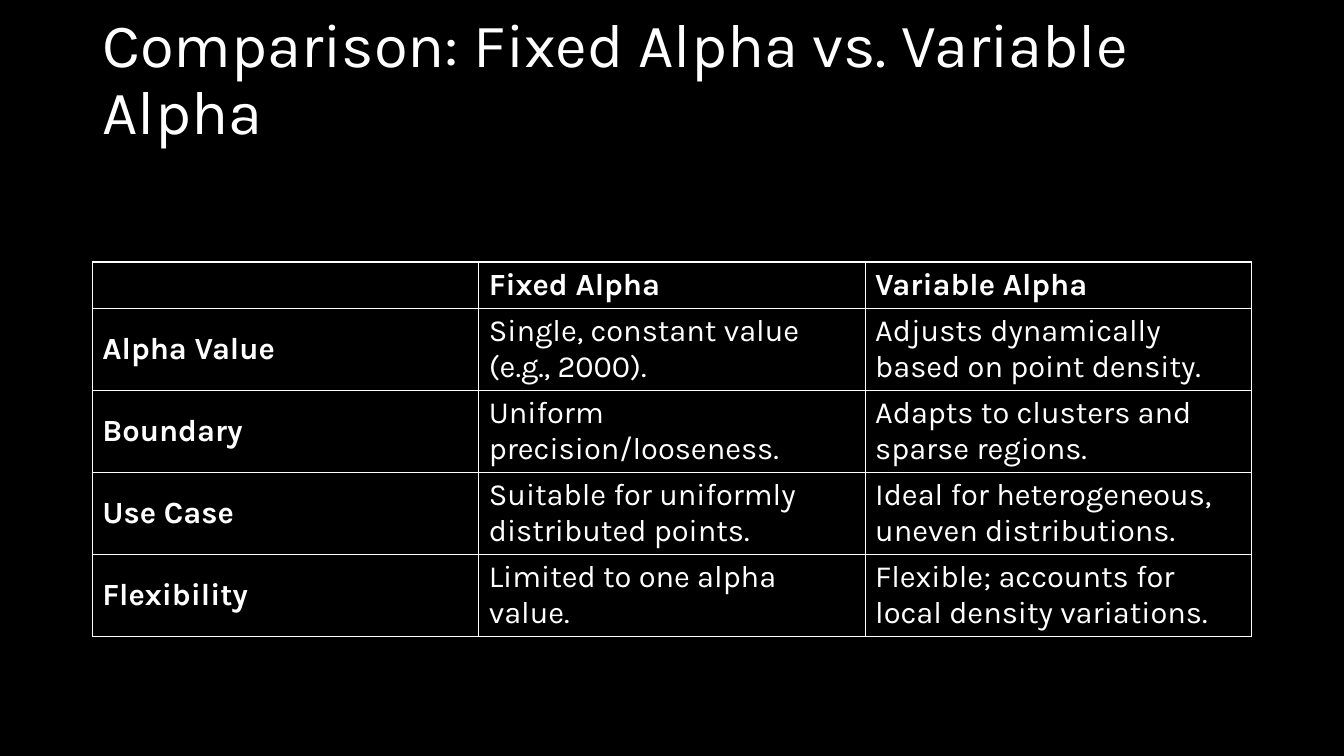
from lxml import etree
from pptx import Presentation
from pptx.dml.color import RGBColor
from pptx.enum.text import MSO_ANCHOR, PP_ALIGN
from pptx.oxml.ns import qn
from pptx.util import Pt

BLACK = RGBColor(0x00, 0x00, 0x00)
WHITE = RGBColor(0xFF, 0xFF, 0xFF)
MIDDLE = MSO_ANCHOR.MIDDLE
LEFT = PP_ALIGN.LEFT

FONT = "Karla"
TITLE_ONLY = 5
MARGIN = Pt(66)
CONTENT_WIDTH = Pt(828)
HEADER_HEIGHT = Pt(32.9)
BODY_HEIGHT = Pt(58.5)
BORDER = Pt(1)

TITLE = "Comparison: Fixed Alpha vs. Variable Alpha"
COMPARISON = [
    ("", "Fixed Alpha", "Variable Alpha"),
    ("Alpha Value", "Single, constant value (e.g., 2000).",
     "Adjusts dynamically based on point density."),
    ("Boundary", "Uniform precision/looseness.",
     "Adapts to clusters and sparse regions."),
    ("Use Case", "Suitable for uniformly distributed points.",
     "Ideal for heterogeneous, uneven distributions."),
    ("Flexibility", "Limited to one alpha value.",
     "Flexible; accounts for local density variations."),
]


def set_format(target, values):
    for name, value in values.items():
        setattr(target, name, value)


def write_text(para, text, size, bold=False):
    para.text = text
    para.alignment = LEFT
    set_format(para.font, {"name": FONT, "size": Pt(size), "bold": bold})
    para.font.color.rgb = WHITE


def add_title(page):
    title = page.shapes.title
    set_format(title, {"left": MARGIN, "top": Pt(28.8),
                       "width": CONTENT_WIDTH, "height": Pt(104.4)})
    frame = title.text_frame
    set_format(frame, {"word_wrap": True, "vertical_anchor": MIDDLE,
                       "margin_bottom": Pt(50)})
    para = frame.paragraphs[0]
    write_text(para, TITLE, 44)
    para.line_spacing = 0.9


def add_borders(cell):
    properties = cell._tc.get_or_add_tcPr()
    for side in ("a:lnL", "a:lnR", "a:lnT", "a:lnB"):
        line = etree.SubElement(properties, qn(side), w=str(BORDER))
        fill = etree.SubElement(line, qn("a:solidFill"))
        etree.SubElement(fill, qn("a:srgbClr"), val=str(WHITE))


def format_cell(cell, text, bold):
    write_text(cell.text_frame.paragraphs[0], text, 22, bold)
    cell.vertical_anchor = MIDDLE
    add_borders(cell)
    cell.fill.background()


def add_comparison_table(page):
    row_count, column_count = len(COMPARISON), len(COMPARISON[0])
    height = HEADER_HEIGHT + BODY_HEIGHT * (row_count - 1)
    table = page.shapes.add_table(row_count, column_count, MARGIN, Pt(187.2),
                                  CONTENT_WIDTH, height).table
    table.horz_banding = False
    for row_index, texts in enumerate(COMPARISON):
        table.rows[row_index].height = BODY_HEIGHT if row_index else HEADER_HEIGHT
        for column_index, text in enumerate(texts):
            is_heading = row_index == 0 or column_index == 0
            format_cell(table.cell(row_index, column_index), text, is_heading)


def main():
    deck = Presentation()
    set_format(deck, {"slide_width": Pt(960), "slide_height": Pt(540)})
    page = deck.slides.add_slide(deck.slide_layouts[TITLE_ONLY])
    page.background.fill.solid()
    page.background.fill.fore_color.rgb = BLACK
    add_title(page)
    add_comparison_table(page)
    deck.save("out.pptx")


if __name__ == "__main__":
    main()
